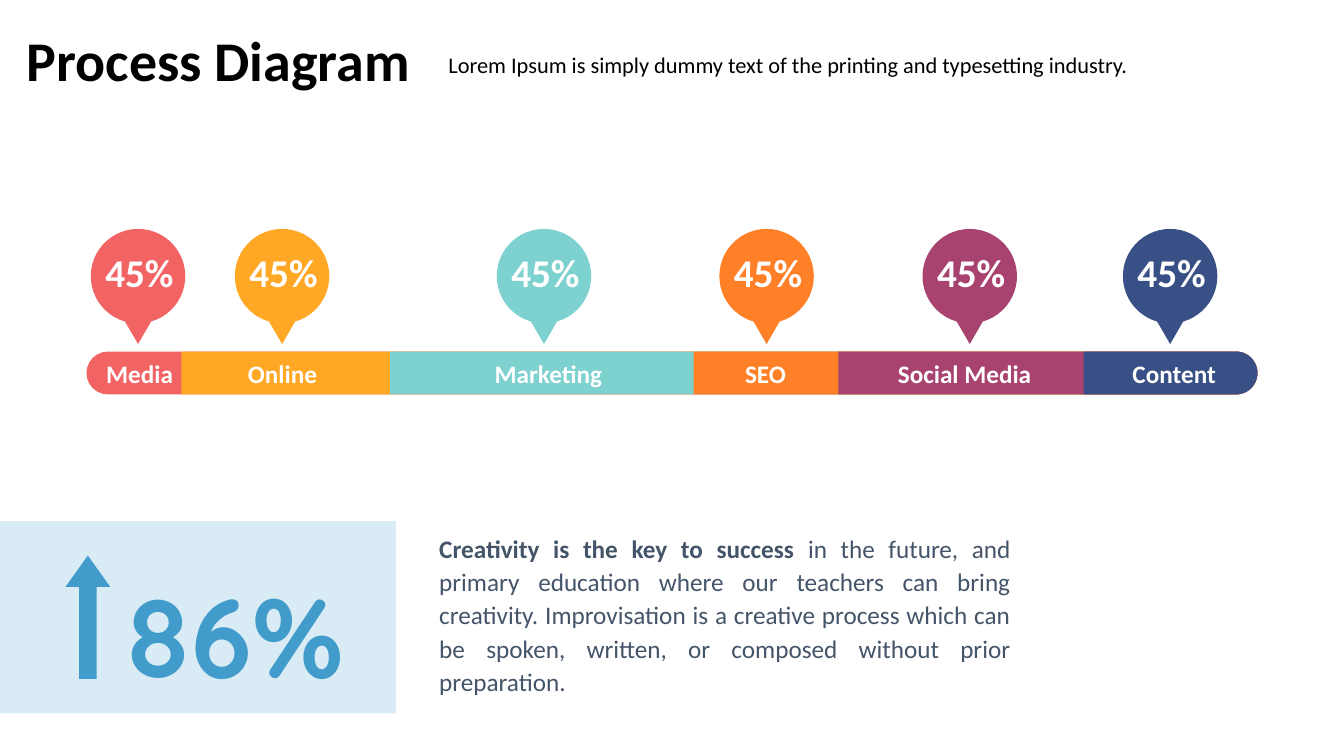
import math

from pptx import Presentation
from pptx import util as u
from pptx.dml.color import RGBColor
from pptx.enum import shapes as sh, text as tx
from pptx.oxml.ns import qn
from lxml import etree

# label, colour, segment start, pin left, label centre, label width (cm)
STEPS = [
    ("Media", "F26363", 2.18, 2.29, 3.52, 2.72),
    ("Online", "FFA826", 4.57, 5.92, 7.12, 2.77),
    ("Marketing", "7DD1CE", 9.83, 12.52, 13.82, 3.76),
    ("SEO", "FF8026", 17.48, 18.13, 19.29, 2.06),
    ("Social Media", "A8436F", 21.13, 23.25, 24.31, 4.42),
    ("Content", "385085", 27.31, 28.3, 29.59, 3.15),
]
BAR_RIGHT, BAR_TOP, BAR_HEIGHT = 31.69, 8.86, 1.08
PIN_TOP, PIN_RADIUS, PIN_HEIGHT = 5.77, 1.19, 2.9
BLUE = "419CCC"
SLATE = "445469"


def colour(value):
    return RGBColor.from_string(value)


def paint(shape, fill, opacity=None):
    shape.shadow.inherit = False
    shape.fill.solid()
    shape.fill.fore_color.rgb = colour(fill)
    shape.line.fill.background()
    if opacity is not None:
        srgb = shape.fill._xPr.find(qn("a:solidFill"))[0]
        etree.SubElement(srgb, qn("a:alpha"), val=str(opacity * 1000))


def add_preset(slide, kind, left, top, width, height, fill, opacity=None):
    shape = slide.shapes.add_shape(
        kind, u.Cm(left), u.Cm(top), u.Cm(width), u.Cm(height))
    paint(shape, fill, opacity)
    return shape


def arc(cx, cy, radius, start, end, steps=48):
    """Points along a circle; angles in degrees, clockwise from the right."""
    angles = [math.radians(start + (end - start) * i / steps)
              for i in range(steps + 1)]
    return [(cx + radius * math.cos(a), cy + radius * math.sin(a))
            for a in angles]


def add_outline(slide, points, fill):
    """Draw a closed polygon through points given in centimetres."""
    vertices = [(u.Cm(x), u.Cm(y)) for x, y in points]
    builder = slide.shapes.build_freeform(*vertices[0])
    builder.add_line_segments(vertices[1:], close=True)
    paint(builder.convert_to_shape(), fill)


def add_segment(slide, start, fill):
    """Draw a bar from start to the rounded right end of the process."""
    radius = BAR_HEIGHT / 2
    cap = arc(BAR_RIGHT - radius, BAR_TOP + radius, radius, -90, 90)
    corners = [(start, BAR_TOP + BAR_HEIGHT), (start, BAR_TOP)]
    add_outline(slide, cap + corners, fill)


def add_pin(slide, left, fill):
    centre = left + PIN_RADIUS
    head = arc(centre, PIN_TOP + PIN_RADIUS, PIN_RADIUS, 106, 434)
    add_outline(slide, head + [(centre, PIN_TOP + PIN_HEIGHT)], fill)


def style_run(run, size, fill, bold, font="Calibri"):
    run.font.name = font
    run.font.size = u.Pt(size)
    run.font.bold = bold
    run.font.color.rgb = colour(fill)


def add_text(slide, box, content, size, fill, bold=False, inset=(0.25, 0.13),
             align=tx.PP_ALIGN.CENTER, font="Calibri", wrap=False, spacing=None):
    """Add a text box; box is left, top, width, height in centimetres."""
    frame = slide.shapes.add_textbox(*(u.Cm(n) for n in box)).text_frame
    frame.word_wrap = wrap
    frame.auto_size = tx.MSO_AUTO_SIZE.SHAPE_TO_FIT_TEXT
    frame.margin_left = frame.margin_right = u.Cm(inset[0])
    frame.margin_top = frame.margin_bottom = u.Cm(inset[1])
    frame.text = content
    paragraph = frame.paragraphs[0]
    paragraph.alignment = align
    if spacing:
        paragraph.line_spacing = spacing
    style_run(paragraph.runs[0], size, fill, bold, font)
    return paragraph


def add_header(slide):
    add_text(slide, (0.43, 0.51, 10.26, 1.96), "Process Diagram", 40, "000000",
             bold=True, align=tx.PP_ALIGN.LEFT)
    add_text(slide, (10.72, 1.17, 18.29, 0.94),
             "Lorem Ipsum is simply dummy text of the printing and "
             "typesetting industry.", 16, "000000")


def add_process(slide):
    first_colour, first_start = STEPS[0][1:3]
    bar = add_preset(slide, sh.MSO_SHAPE.ROUNDED_RECTANGLE, first_start, BAR_TOP,
                     BAR_RIGHT - first_start, BAR_HEIGHT, first_colour)
    bar.adjustments[0] = 0.5
    for _, fill, start, *_ in STEPS[1:]:
        add_segment(slide, start, fill)
    for label, fill, _, pin_left, label_centre, label_width in STEPS:
        add_pin(slide, pin_left, fill)
        percent_left = pin_left + PIN_RADIUS - 1.35
        add_text(slide, (percent_left, 6.02, 2.77, 1.7), "45%", 28, "FFFFFF",
                 bold=True, inset=(0.51, 0.25))
        add_text(slide, (label_centre - label_width / 2, 8.79, label_width, 1.27),
                 label, 18, "FFFFFF", bold=True, inset=(0.51, 0.25))


def add_summary(slide):
    add_text(slide, (2.41, 13.28, 7.01, 4.39), "86%", 80, BLUE, bold=True,
             inset=(0.69, 0.33), font="Quicksand", spacing=1.2)
    arrow = add_preset(slide, sh.MSO_SHAPE.UP_ARROW, 1.65, 14, 1.13, 3.11, BLUE)
    arrow.adjustments[0] = 0.39
    arrow.adjustments[1] = 0.7
    message = add_text(slide, (10.46, 13.06, 15.62, 4.8),
                       "Creativity is the key to success ", 18, SLATE, bold=True,
                       inset=(0.61, 0.3), align=tx.PP_ALIGN.JUSTIFY,
                       wrap=True, spacing=1.1)
    detail = message.add_run()
    detail.text = ("in the future, and primary education where our teachers can "
                   "bring creativity. Improvisation is a creative process which "
                   "can be spoken, written, or composed without prior preparation.")
    style_run(detail, 18, SLATE, False)


def main():
    deck = Presentation()
    deck.slide_width, deck.slide_height = u.Cm(33.87), u.Cm(19.05)
    slide = deck.slides.add_slide(deck.slide_layouts[6])
    add_preset(slide, sh.MSO_SHAPE.RECTANGLE, 0, 13.13, 9.98, 4.85, BLUE, opacity=20)
    add_header(slide)
    add_process(slide)
    add_summary(slide)
    deck.save("out.pptx")


if __name__ == "__main__":
    main()
